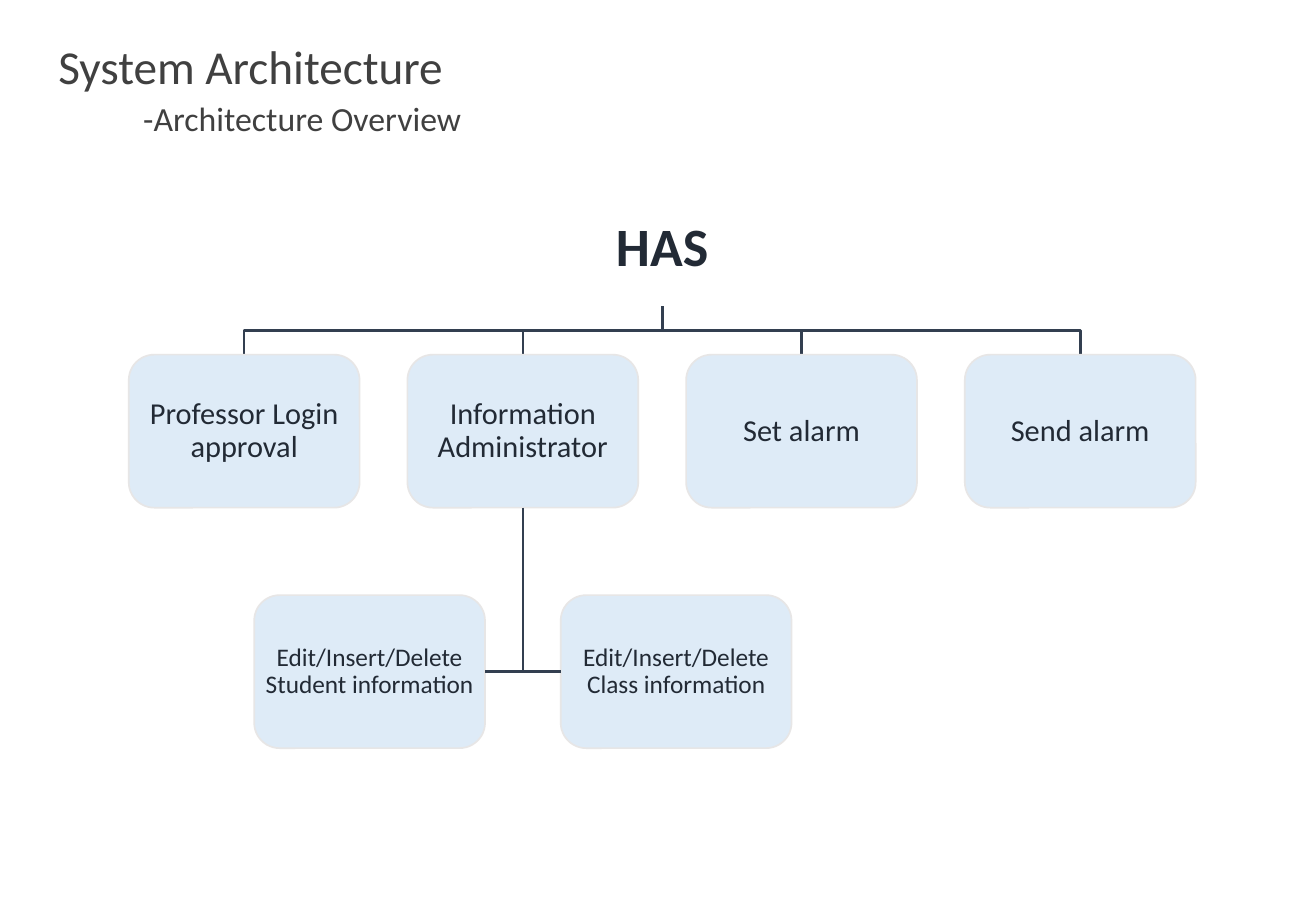
from pptx import Presentation
from pptx.dml.color import RGBColor
from pptx.enum.shapes import MSO_CONNECTOR, MSO_SHAPE
from pptx.enum.text import MSO_ANCHOR, MSO_AUTO_SIZE, PP_ALIGN
from pptx.oxml.ns import qn
from pptx.util import Inches, Pt

BOX_FILL = RGBColor(0xDE, 0xEB, 0xF7)
BOX_EDGE = RGBColor(0xE7, 0xE6, 0xE6)
LINK_COLOR = RGBColor(0x33, 0x3F, 0x50)
BOX_TEXT = RGBColor(0x22, 0x2A, 0x35)
HEADING_TEXT = RGBColor(0x40, 0x40, 0x40)

GRID_LEFT, GRID_TOP = 1.06, 2.92
COLUMN_STEP, ROW_STEP = (7.94 - GRID_LEFT) / 3, 1.98
BOX_WIDTH, BOX_HEIGHT = 1.9, 1.26
ROOT_TOP, ROOT_HEIGHT = 1.58, 0.94

FUNCTIONS = ["Professor Login approval", "Information Administrator", "Set alarm", "Send alarm"]
EDITS = ["Edit/Insert/Delete Student information", "Edit/Insert/Delete Class information"]
EDIT_COLUMNS = [0.45, 1.55]


def column_left(column):
    return GRID_LEFT + column * COLUMN_STEP


def column_center(column):
    return column_left(column) + BOX_WIDTH / 2


def write_text(shape, text, size, color, margins, anchor, alignment, before=0, bold=False):
    frame = shape.text_frame
    left, top, right, bottom = (Inches(margin) for margin in margins)
    frame_format = {
        "word_wrap": True, "auto_size": MSO_AUTO_SIZE.NONE, "vertical_anchor": anchor,
        "margin_left": left, "margin_top": top, "margin_right": right, "margin_bottom": bottom,
    }
    for name, value in frame_format.items():
        setattr(frame, name, value)
    para = frame.paragraphs[0]
    para_format = {"alignment": alignment, "line_spacing": 0.9, "space_before": Pt(before)}
    for name, value in para_format.items():
        setattr(para, name, value)
    span = para.add_run()
    span.text = text
    for name, value in {"name": "Calibri", "size": Pt(size), "bold": bold}.items():
        setattr(span.font, name, value)
    span.font.color.rgb = color


def write_heading(shape, text, size):
    write_text(shape, text, size, HEADING_TEXT, (0.1, 0, 0.1, 0.05),
               MSO_ANCHOR.TOP, PP_ALIGN.LEFT, before=10)


def write_label(shape, text, size, margin, bold=False):
    write_text(shape, text, size, BOX_TEXT, (margin,) * 4,
               MSO_ANCHOR.MIDDLE, PP_ALIGN.CENTER, bold=bold)


def style_line(line, color, width):
    line.color.rgb = color
    line.width = Pt(width)


def add_box(page, text, column, row, size):
    box = page.shapes.add_shape(
        MSO_SHAPE.ROUNDED_RECTANGLE, Inches(column_left(column)),
        Inches(GRID_TOP + row * ROW_STEP), Inches(BOX_WIDTH), Inches(BOX_HEIGHT))
    box.shadow.inherit = False
    box.fill.solid()
    box.fill.fore_color.rgb = BOX_FILL
    style_line(box.line, BOX_EDGE, 1)
    write_label(box, text, size, 0.01)
    return box


def add_branch(page, column):
    start, end = Inches(column_center(1.5)), Inches(column_center(column))
    top, bottom = Inches(ROOT_TOP + ROOT_HEIGHT), Inches(GRID_TOP)
    bend = (top + bottom) // 2
    builder = page.shapes.build_freeform(start, top)
    builder.add_line_segments([(start, bend), (end, bend), (end, bottom)], close=False)
    branch = builder.convert_to_shape()
    branch.shadow.inherit = False
    branch.fill.background()
    style_line(branch.line, LINK_COLOR, 1.5)


def add_link(page, x, y):
    link = page.shapes.add_connector(MSO_CONNECTOR.STRAIGHT, x, y, x, y)
    properties = link._element.spPr
    style_line(link.line, LINK_COLOR, 1.5)
    properties.append(properties.makeelement(qn("a:effectLst"), {}))
    return link


def add_text_area(page, left, top, width, height):
    return page.shapes.add_textbox(Inches(left), Inches(top), Inches(width), Inches(height))


def add_headings(page):
    title = page.shapes.title
    place = {"left": 0.38, "top": 0.36, "width": 3.46, "height": 0.31}
    for name, value in place.items():
        setattr(title, name, Inches(value))
    write_heading(title, "System Architecture", 28)
    subtitle = add_text_area(page, 1.08, 0.84, 4.68, 0.24)
    write_heading(subtitle, "-Architecture Overview", 20)


def add_hierarchy(page):
    for column in range(len(FUNCTIONS)):
        add_branch(page, column)
    root = add_text_area(page, column_left(1.5), ROOT_TOP, BOX_WIDTH, ROOT_HEIGHT)
    write_label(root, "HAS", 32, 0.02, bold=True)
    functions = [add_box(page, text, column, 0, 18) for column, text in enumerate(FUNCTIONS)]
    student, course = [add_box(page, text, column, 1, 15)
                       for column, text in zip(EDIT_COLUMNS, EDITS)]

    middle = student.top + student.height // 2
    trunk = add_link(page, Inches(column_center(1)), middle)
    trunk.begin_connect(functions[1], 2)
    crossbar = add_link(page, student.left + student.width, middle)
    crossbar.begin_connect(course, 1)
    crossbar.end_connect(student, 3)


def main():
    deck = Presentation()
    deck.slide_width, deck.slide_height = Inches(10.83), Inches(7.5)
    page = deck.slides.add_slide(deck.slide_layouts[5])
    add_headings(page)
    add_hierarchy(page)
    deck.save("out.pptx")


if __name__ == "__main__":
    main()
